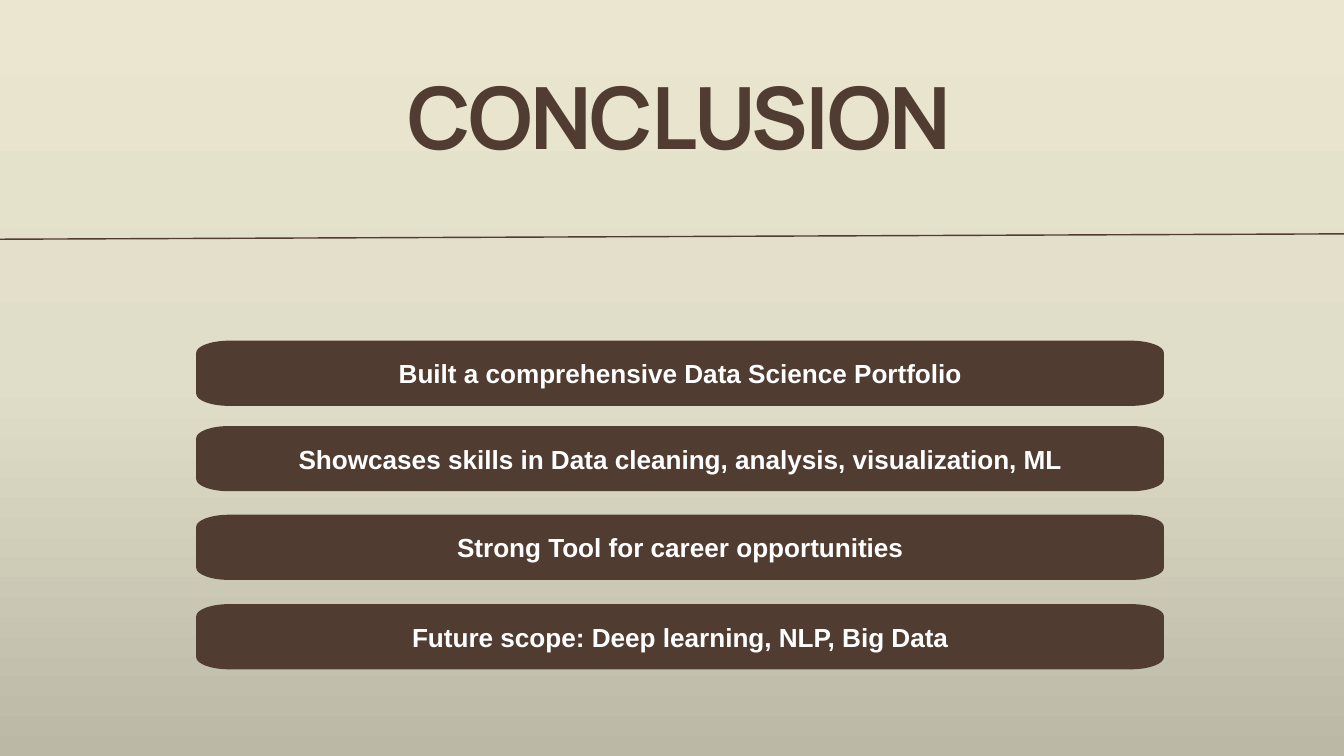
from copy import deepcopy
from dataclasses import dataclass

from lxml import etree
from pptx import Presentation
from pptx.dml.color import RGBColor
from pptx.enum.shapes import MSO_CONNECTOR
from pptx.enum.text import MSO_ANCHOR, MSO_AUTO_SIZE, PP_ALIGN
from pptx.oxml.ns import qn
from pptx.util import Inches, Pt

STRAIGHT = MSO_CONNECTOR.STRAIGHT
CENTER = PP_ALIGN.CENTER
TOP, MIDDLE = MSO_ANCHOR.TOP, MSO_ANCHOR.MIDDLE
GROW = MSO_AUTO_SIZE.SHAPE_TO_FIT_TEXT

WIDTH, HEIGHT = Inches(20), Inches(11.25)
COLS, ROWS = 20, 11.25  # square grid cells
TITLE_ONLY = 5
ARC = 0.55  # Bezier handle length of a quarter ellipse


@dataclass(frozen=True)
class Theme:
    brown: str = "503C30"
    white: str = "FFFFFF"
    backdrop: tuple = ((0, "EAE6CF"), (0.5, "E0DDC9"), (1, "BBB8A5"))
    title_font: str = "Manrope"
    body_font: str = "Arial"
    title_size: float = 92
    title_leading: float = 81
    title_tracking: int = -250  # hundredths of a point
    body_size: float = 28
    rule_width: float = 1.5


class Deck:
    def __init__(self, theme):
        self.theme = theme
        self.prs = Presentation()
        self.prs.slide_width, self.prs.slide_height = WIDTH, HEIGHT
        self.s = self.prs.slides.add_slide(self.prs.slide_layouts[TITLE_ONLY])

    def x(self, col):
        return round(WIDTH * col / COLS)

    def y(self, row):
        return round(HEIGHT * row / ROWS)

    def background(self):
        fill = self.s.background.fill
        fill.gradient()
        fill.gradient_angle = 270  # top to bottom
        stops = self.s.element.find(".//" + qn("a:gsLst"))
        stops.append(deepcopy(stops[-1]))
        for stop, (position, color) in zip(fill.gradient_stops, self.theme.backdrop):
            stop.position = position
            stop.color.rgb = RGBColor.from_string(color)

    def add_run(self, p, text, font, size, color):
        p.alignment = CENTER
        r = p.add_run()
        r.text = text
        r.font.name, r.font.size, r.font.bold = font, Pt(size), True
        r.font.color.rgb = RGBColor.from_string(color)
        return r

    def title(self, text, col, row, cols, rows):
        t = self.theme
        sp = self.s.shapes.title
        sp.left, sp.top = self.x(col), self.y(row)
        sp.width, sp.height = self.x(cols), self.y(rows)
        tf = sp.text_frame
        tf.margin_left = tf.margin_right = tf.margin_top = tf.margin_bottom = 0
        tf.word_wrap, tf.auto_size, tf.vertical_anchor = True, GROW, TOP
        p = tf.paragraphs[0]
        p.line_spacing = Pt(t.title_leading)
        r = self.add_run(p, text, t.title_font, t.title_size, t.brown)
        r.font._element.set("spc", str(t.title_tracking))

    def rule(self, start, end):
        line = self.s.shapes.add_connector(
            STRAIGHT, self.x(start[0]), self.y(start[1]), self.x(end[0]), self.y(end[1]))
        line.line.color.rgb = RGBColor.from_string(self.theme.brown)
        line.line.width = Pt(self.theme.rule_width)
        etree.SubElement(line._element.spPr, qn("a:effectLst"))

    def round_corner(self, segment, start, corner, end):
        """Turn a straight corner cut into a quarter ellipse."""
        curve = etree.Element(qn("a:cubicBezTo"))
        handles = [tuple(a + ARC * (k - a) for a, k in zip(point, corner))
                   for point in (start, end)]
        for px, py in (*handles, end):
            etree.SubElement(curve, qn("a:pt"), x=str(self.x(px)), y=str(self.y(py)))
        segment.getparent().replace(segment, curve)

    def bar(self, text, col, row, cols, rows, rx=0.49, ry=0.18):
        t = self.theme
        # Outline clockwise from the top edge, relative to the bar
        points = [(rx, 0), (cols - rx, 0), (cols, ry), (cols, rows - ry),
                  (cols - rx, rows), (rx, rows), (0, rows - ry), (0, ry), (rx, 0)]
        corners = [(cols, 0), (cols, rows), (0, rows), (0, 0)]
        outline = [(self.x(col + px), self.y(row + py)) for px, py in points]
        builder = self.s.shapes.build_freeform(*outline[0])
        builder.add_line_segments(outline[1:], close=True)
        sp = builder.convert_to_shape()
        cuts = list(sp._element.iter(qn("a:lnTo")))[1::2]
        for cut, start, corner, end in zip(cuts, points[1::2], corners, points[2::2]):
            self.round_corner(cut, start, corner, end)

        sp.shadow.inherit = False
        sp.fill.solid()
        sp.fill.fore_color.rgb = RGBColor.from_string(t.brown)
        sp.line.fill.background()
        tf = sp.text_frame
        tf.word_wrap, tf.vertical_anchor = True, MIDDLE
        self.add_run(tf.paragraphs[0], text, t.body_font, t.body_size, t.white)


BARS = (
    (5.07, "Built a comprehensive Data Science Portfolio"),
    (6.34, "Showcases skills in Data cleaning, analysis, visualization, ML"),
    (7.66, "Strong Tool for career opportunities"),
    (8.99, "Future scope: Deep learning, NLP, Big Data"),
)


def main():
    deck = Deck(Theme())

    # Backdrop and heading
    deck.background()
    deck.rule((0, 3.56), (COLS, 3.48))
    deck.title("CONCLUSION ", 1.95, 1.36, 16.54, 1.3)

    # Closing points
    for row, text in BARS:
        deck.bar(text, 2.92, row, 14.4, 0.97)

    deck.prs.save("out.pptx")


if __name__ == "__main__":
    main()
